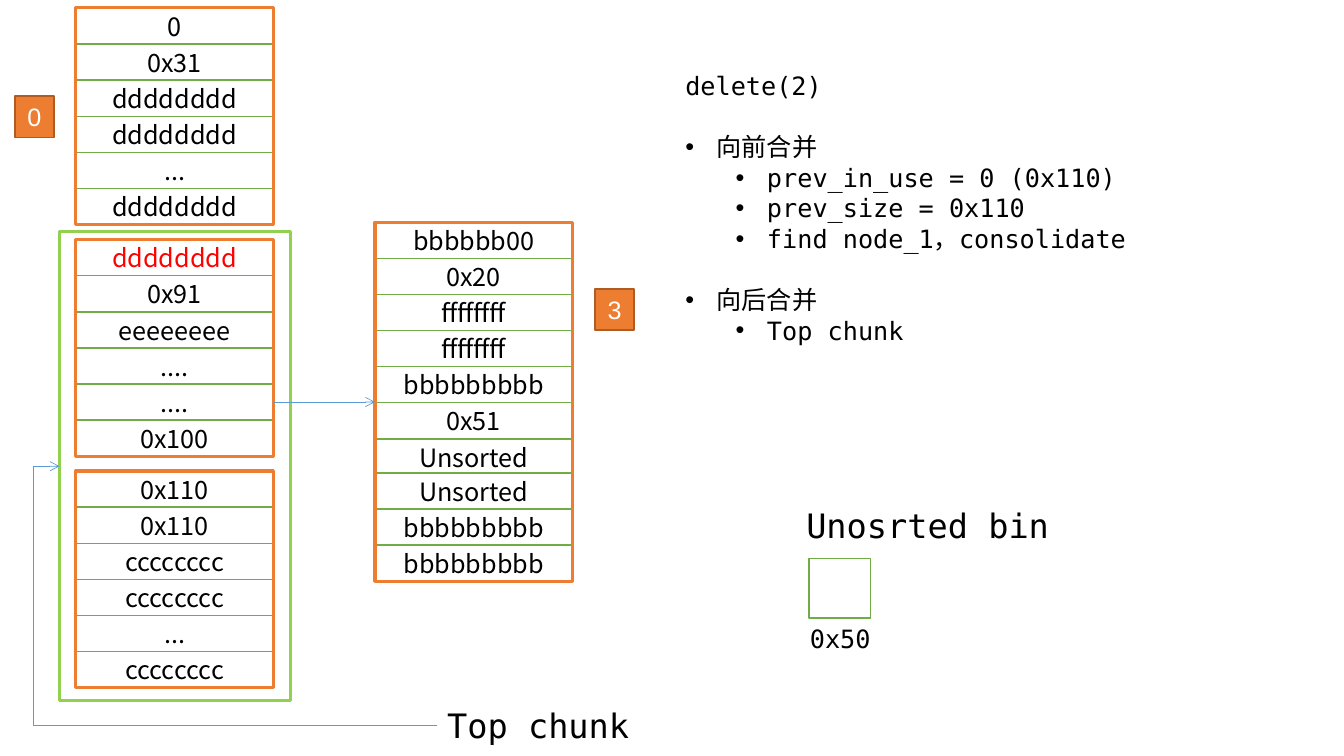
"""Heap chunk diagram for delete(2) with the unsorted bin and consolidation steps."""
from lxml import etree
from pptx import Presentation
from pptx.dml.color import RGBColor
from pptx.enum.shapes import MSO_CONNECTOR, MSO_SHAPE
from pptx.enum.text import MSO_ANCHOR, PP_ALIGN
from pptx.oxml.ns import qn
from pptx.util import Cm, Pt

RECTANGLE = MSO_SHAPE.RECTANGLE
STRAIGHT, ELBOW = MSO_CONNECTOR.STRAIGHT, MSO_CONNECTOR.ELBOW
LEFT, CENTER, MIDDLE = PP_ALIGN.LEFT, PP_ALIGN.CENTER, MSO_ANCHOR.MIDDLE

BLACK = RGBColor(0x00, 0x00, 0x00)
WHITE = RGBColor(0xFF, 0xFF, 0xFF)
RED = RGBColor(0xFF, 0x00, 0x00)
ORANGE = RGBColor(0xED, 0x7D, 0x31)
BROWN = RGBColor(0xAF, 0x5C, 0x24)
GREEN = RGBColor(0x70, 0xAD, 0x47)
LIME = RGBColor(0x92, 0xD0, 0x50)
BLUE = RGBColor(0x5B, 0x9B, 0xD5)

MONO, SANS, ARIAL, CALIBRI = "DejaVu Sans Mono", "Noto Sans CJK SC", "Arial", "Calibri"
ROW_WIDTH, ROW_HEIGHT = 4.98, 0.91
LINE_PITCH = Pt(21.8)

CHUNKS = [
    {"left": 1.91, "top": 0.2,
     "rows": ["0", "0x31", "dddddddd", "dddddddd", "...", "dddddddd"]},
    {"left": 1.91, "top": 6.04, "overflow_row": 0,
     "rows": ["dddddddd", "0x91", "eeeeeeee", "....", "....", "0x100"]},
    {"left": 1.91, "top": 11.87,
     "rows": ["0x110", "0x110", "cccccccc", "cccccccc", "...", "cccccccc"]},
    {"left": 9.45, "top": 5.6, "overlap_row": 7, "overlap": 0.05,
     "rows": ["bbbbbb00", "0x20", "ffffffff", "ffffffff", "bbbbbbbbb", "0x51",
              "Unsorted", "Unsorted", "bbbbbbbbb", "bbbbbbbbb"]},
]
INDEX_TAGS = [("0", 0.38, 2.42), ("3", 15, 7.28)]
LABELS = [
    ("Unosrted bin", (20.07, 12.6, 9.3, 1.27), 24, LEFT),
    ("0x50", (19.74, 15.57, 2.87, 1.02), 18, CENTER),
    ("Top chunk", (11.02, 17.65, 6.7, 1.27), 24, LEFT),
]
BIN_SLOT = (20.39, 14.07, 1.55, 1.5)
MERGED_CHUNK = (1.5, 5.84, 5.82, 11.81)
STEPS_BOX = (17.02, 1.65, 15.39, 7.19)
STEPS = [
    ("delete(2)", None, MONO, False),
    ("向前合并", 0, CALIBRI, True),
    ("prev_in_use = 0 (0x110)", 1, MONO, False),
    ("prev_size = 0x110", 1, MONO, False),
    ("find node_1，consolidate", 1, MONO, False),
    ("向后合并", 0, MONO, True),
    ("Top chunk", 1, MONO, False),
]
ARROWS = [
    (STRAIGHT, (6.88, 10.13, 9.45, 10.13), None),
    (ELBOW, (11.02, 18.29, 1.5, 11.75), 106900),
]


def write(para, text, font, size, color, align=LEFT):
    para.alignment = align
    span = para.add_run()
    span.text = text
    for name, value in {"name": font, "size": Pt(size)}.items():
        setattr(span.font, name, value)
    span.font.color.rgb = color


def add_box(shapes, place, line, width=1, fill=None):
    box = shapes.add_shape(RECTANGLE, *map(Cm, place))
    box.shadow.inherit = False
    if fill is None:
        box.fill.background()
    else:
        box.fill.solid()
        box.fill.fore_color.rgb = fill
    box.line.color.rgb = line
    box.line.width = Pt(width)
    box.text_frame.vertical_anchor = MIDDLE
    return box


def add_text_box(page, place):
    frame = page.shapes.add_textbox(*map(Cm, place)).text_frame
    frame.word_wrap = True
    return frame


def add_chunk(page, chunk):
    shapes = page.shapes.add_group_shape().shapes
    left, top = chunk["left"], chunk["top"]
    overlap = chunk.get("overlap", 0)
    for index, text in enumerate(chunk["rows"]):
        shift = overlap if index >= chunk.get("overlap_row", 0) else 0
        place = (left, top + index * ROW_HEIGHT - shift, ROW_WIDTH, ROW_HEIGHT)
        cell = add_box(shapes, place, GREEN, fill=WHITE)
        color = RED if index == chunk.get("overflow_row") else BLACK
        write(cell.text_frame.paragraphs[0], text, SANS, 18, color, CENTER)
    height = len(chunk["rows"]) * ROW_HEIGHT - overlap
    add_box(shapes, (left, top, ROW_WIDTH, height), ORANGE, 2.25)


def add_bullet(para, level):
    para.level = level
    props = para._p.get_or_add_pPr()
    props.set("marL", str(Cm(0.79 + 1.27 * level)))
    props.set("indent", str(-Cm(0.79)))
    etree.SubElement(props, qn("a:buFont")).set("typeface", ARIAL)
    etree.SubElement(props, qn("a:buChar")).set("char", "•")


def add_steps(page):
    frame = add_text_box(page, STEPS_BOX)
    for index, (text, level, font, starts_section) in enumerate(STEPS):
        para = frame.add_paragraph() if index else frame.paragraphs[0]
        para.line_spacing = LINE_PITCH
        if starts_section:
            para.space_before = LINE_PITCH
        if level is not None:
            add_bullet(para, level)
        write(para, text, font, 18, BLACK)


def add_arrow(page, kind, ends, bend):
    arrow = page.shapes.add_connector(kind, *map(Cm, ends))
    arrow.line.color.rgb = BLUE
    arrow.line.width = Pt(0.5)
    props = arrow._element.spPr
    etree.SubElement(arrow.line._get_or_add_ln(), qn("a:tailEnd")).set("type", "arrow")
    etree.SubElement(props, qn("a:effectLst"))
    if bend is not None:
        guide = etree.SubElement(props.find(".//" + qn("a:avLst")), qn("a:gd"))
        guide.set("name", "adj1")
        guide.set("fmla", f"val {bend}")


def main():
    deck = Presentation()
    deck.slide_width, deck.slide_height = Cm(33.87), Cm(19.05)
    page = deck.slides.add_slide(deck.slide_layouts[6])
    for chunk in CHUNKS:
        add_chunk(page, chunk)
    for text, left, top in INDEX_TAGS:
        tag = add_box(page.shapes, (left, top, 0.98, 1.04), BROWN, fill=ORANGE)
        write(tag.text_frame.paragraphs[0], text, ARIAL, 18, WHITE, CENTER)
    add_box(page.shapes, BIN_SLOT, GREEN, fill=WHITE)
    add_box(page.shapes, MERGED_CHUNK, LIME, 2.25)
    for text, place, size, align in LABELS:
        write(add_text_box(page, place).paragraphs[0], text, MONO, size, BLACK, align)
    add_steps(page)
    for kind, ends, bend in ARROWS:
        add_arrow(page, kind, ends, bend)
    deck.save("out.pptx")


if __name__ == "__main__":
    main()
